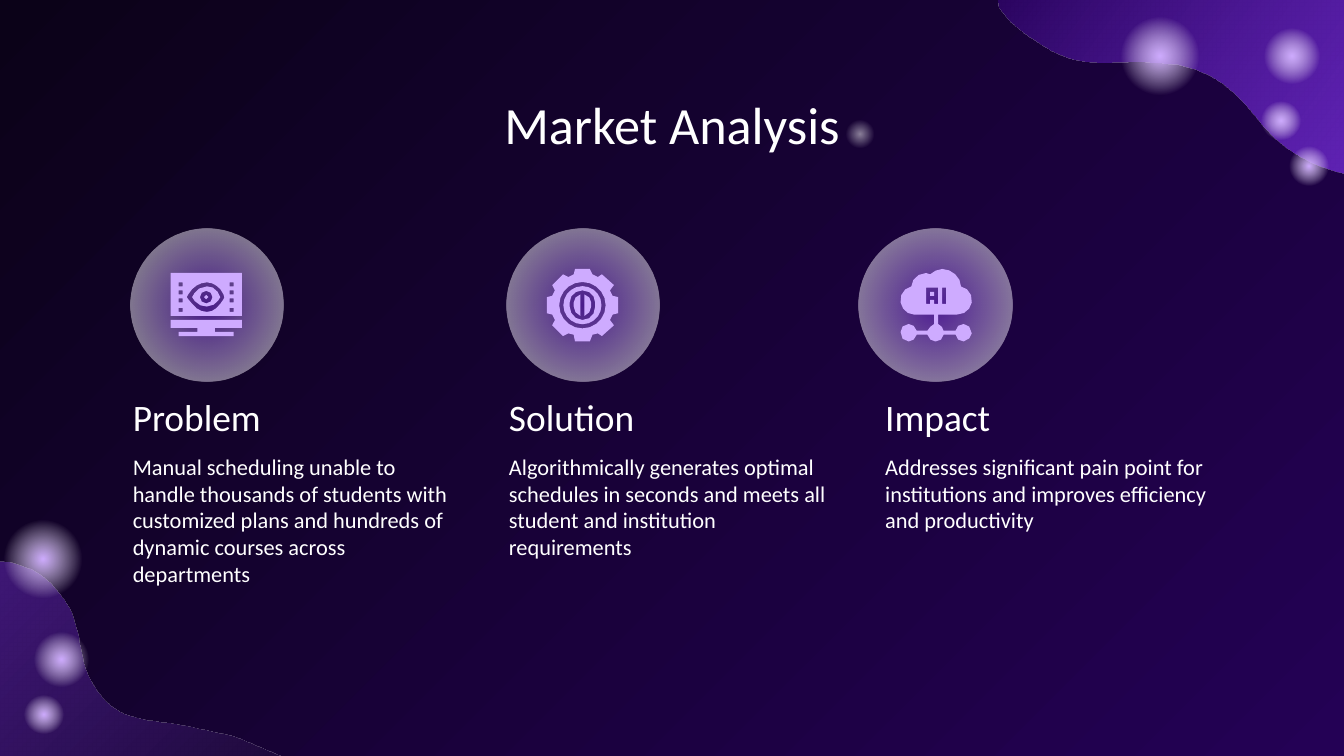
from math import dist

from pptx import Presentation
from pptx.dml.color import RGBColor
from pptx.enum.shapes import MSO_SHAPE
from pptx.enum.text import MSO_ANCHOR, MSO_AUTO_SIZE, PP_ALIGN
from pptx.oxml import parse_xml
from pptx.oxml.ns import nsdecls, qn
from pptx.util import Cm, Pt

COLORS = {"night": "0B0218", "indigo": "240155", "violet": "8134EC",
          "lilac": "CEABFF", "white": "FFFFFF"}
FONT = "Calibri"
GLOW = [(0, "lilac", 100), (57, "white", 0), (100, "white", 0)]
FAINT_GLOW = [(0, "white", 50), (57, "white", 0), (100, "white", 0)]
DISC = [(0, "violet", 49), (77, "white", 49), (100, "white", 49)]
ICON_UNITS = 54

LEFT_WAVE = """M 10 0 L 0 382 L 666 382 C 667 374 663 364 660 356
 C 635 301 575 264 513 256 C 498 253 482 253 467 247 C 454 242 443 226 439 214
 C 434 200 434 185 428 171 C 422 159 412 147 399 140 C 374 126 337 136 316 152
 L 233 84"""
RIGHT_WAVE = """M 276 0 L 193 13 L 106 21 L 45 32 C 34 34 4 34 0 47
 C -5 62 31 83 41 89 C 60 99 77 98 97 97 C 119 97 139 97 158 107
 C 175 116 187 131 198 145 C 211 160 227 170 245 176 C 261 181 283 187 300 185
 L 295 151 L 294 116 L 288 81 L 278 15"""
EYE_RIM = """M 40 21 C 40 21 39 24 37 26 C 34 30 31 32 27 32 C 23 32 19 30 16 26
 C 14 24 12 21 12 21 C 12 21 14 17 16 15 C 19 12 23 10 27 10 C 31 10 34 12 37 15
 C 39 17 40 21 40 21"""
EYE = """M 16 21 C 17 19 20 13 27 13 C 31 13 32 14 35 17 C 36 18 37 20 37 21
 C 36 23 33 28 27 28 C 23 28 21 27 18 24 C 17 23 16 22 16 21"""
STAND = """M 0 38 L 0 44 L 20 44 L 20 47 L 6 47 L 6 50 L 47 50 L 47 47 L 33 47
 L 33 44 L 53 44 L 53 38"""
GEAR = """M 53 33 L 53 21 L 49 20 L 47 16 L 50 12 L 41 4 L 38 6 L 34 4 L 32 0
 L 21 0 L 20 4 L 16 6 L 12 4 L 4 12 L 6 16 L 4 20 L 0 21 L 0 33 L 4 34 L 6 38
 L 4 42 L 12 50 L 16 48 L 20 49 L 21 54 L 32 54 L 34 49 L 38 48 L 41 50 L 50 42
 L 47 38 L 49 34"""
BRAIN = """M 36 28 C 36 34 32 38 26.5 38 C 21 38 17 33 17 28 L 17 25
 C 17 20 21 16 26.5 16 C 32 16 36 20 36 25"""
RIGHT_LOBE = "M 28 19 L 28 35 C 31 34 33 31 33 28 L 33 25 C 33 22 31 20 28 19"
LEFT_LOBE = "M 25 19 C 22 20 20 22 20 25 L 20 28 C 20 31 22 34 25 35"
CLOUD = """M 48 41 C 45 41 42 43 42 46 L 33 46 C 33 44 31 42 29 41 L 29 34 L 43 34
 C 49 34 53 30 54 25 C 55 19 51 14 46 13 C 46 6 39 0 32 0 C 29 0 25 2 23 4
 C 22 3 21 3 20 3 C 14 3 9 8 9 13 C 4 14 0 19 1 25 C 2 30 6 34 11 34 L 26 34
 L 26 41 C 24 42 22 44 21 46 L 13 46 C 12 43 10 41 7 41 C 3 41 1 44 1 47
 C 1 51 3 54 7 54 C 10 54 12 52 13 49 L 21 49 C 22 52 24 54 27 54
 C 30 54 33 52 33 49 L 42 49 C 42 52 45 54 48 54 C 51 53 54 51 54 48
 C 54 44 51 41 48 41"""
LETTER_A = "M 23 23 L 23 26 L 20 26 L 20 14 L 29 14 L 29 26 L 26 26 L 26 23"


def rect(x, y, w, h):
    return f"M {x} {y} L {x + w} {y} L {x + w} {y + h} L {x} {y + h}"


def disc(cx, cy, r):
    k = 0.55 * r
    return (f"M {cx + r} {cy} C {cx + r} {cy + k} {cx + k} {cy + r} {cx} {cy + r}"
            f" C {cx - k} {cy + r} {cx - r} {cy + k} {cx - r} {cy}"
            f" C {cx - r} {cy - k} {cx - k} {cy - r} {cx} {cy - r}"
            f" C {cx + k} {cy - r} {cx + r} {cy - k} {cx + r} {cy}")


SCREEN = [rect(0, 3, 53, 32), EYE_RIM, EYE, disc(26.5, 21, 4.7), disc(26.5, 21, 1.6), STAND]
SCREEN += [rect(x, y, 3, 3) for x in (6, 44) for y in (10, 16, 22, 29)]
COG = [GEAR, disc(26.5, 27, 17.3), disc(26.5, 27, 14.2), BRAIN, RIGHT_LOBE, LEFT_LOBE]
AI_CLOUD = [CLOUD, LETTER_A, rect(23, 17, 3, 3), rect(32, 14, 3, 12)]


def trace(outline):
    pts = []
    for part in outline.replace("L", "|").replace("C", "|").replace("M", "").split("|"):
        n = [float(v) for v in part.split()]
        if len(n) == 2:
            pts.append(tuple(n))
            continue
        ctrl = [pts[-1], *zip(n[::2], n[1::2])]
        steps = min(5, 1 + int(dist(ctrl[0], ctrl[-1]) / 5))
        for i in range(1, steps + 1):
            t = i / steps
            weights = ((1 - t) ** 3, 3 * t * (1 - t) ** 2, 3 * t * t * (1 - t), t ** 3)
            pts.append(tuple(sum(w * c[a] for w, c in zip(weights, ctrl)) for a in (0, 1)))
    return pts


def add_outline(s, x, y, unit, outlines):
    contours = [[(Cm(x + u * unit), Cm(y + v * unit)) for u, v in trace(o)] for o in outlines]
    fb = s.shapes.build_freeform(*contours[0][0])
    for i, pts in enumerate(contours):
        if i:
            fb.move_to(*pts[0])
        fb.add_line_segments(pts[1:], close=True)
    sp = fb.convert_to_shape()
    sp.shadow.inherit = False
    sp.line.fill.background()
    return sp


def fill_gradient(sp, stops, angle=None):
    gs = "".join(f'<a:gs pos="{pos * 1000}"><a:srgbClr val="{COLORS[c]}">'
                 f'<a:alpha val="{alpha * 1000}"/></a:srgbClr></a:gs>' for pos, c, alpha in stops)
    if angle is None:
        kind = ('<a:path path="circle"><a:fillToRect l="50000" t="50000" '
                'r="50000" b="50000"/></a:path>')
    else:
        kind = f'<a:lin ang="{angle * 60000}" scaled="0"/>'
    sp.fill.gradient()
    grad = sp.element.spPr.find(qn("a:gradFill"))
    new = parse_xml(f'<a:gradFill {nsdecls("a")} rotWithShape="1"><a:gsLst>{gs}</a:gsLst>'
                    f'{kind}</a:gradFill>')
    sp.element.spPr.replace(grad, new)


def add_orb(s, cx, cy, d, stops):
    sp = s.shapes.add_shape(MSO_SHAPE.OVAL, Cm(cx - d / 2), Cm(cy - d / 2), Cm(d), Cm(d))
    sp.shadow.inherit = False
    sp.line.fill.background()
    fill_gradient(sp, stops)


def write(tf, text, size, anchor=MSO_ANCHOR.TOP, align=PP_ALIGN.LEFT):
    tf.word_wrap = True
    tf.auto_size = MSO_AUTO_SIZE.NONE
    tf.vertical_anchor = anchor
    tf.margin_left = tf.margin_right = tf.margin_top = tf.margin_bottom = Cm(0.25)
    p = tf.paragraphs[0]
    p.alignment = align
    r = p.add_run()
    r.text = text
    r.font.size = Pt(size)
    r.font.name = FONT
    r.font.color.rgb = RGBColor.from_string(COLORS["white"])


def add_background(s):
    fill = s.background.fill
    fill.gradient()
    fill.gradient_angle = 315
    for stop, name in zip(fill.gradient_stops, ("night", "indigo")):
        stop.color.rgb = RGBColor.from_string(COLORS[name])


def add_corner(s, x, y, w, units, wave, stops, angle, orbs):
    unit = w / units
    fill_gradient(add_outline(s, x, y, unit, [wave]), stops, angle)
    for cx, cy, d in orbs:
        add_orb(s, x + cx * unit, y + cy * unit, d * unit, GLOW)


def add_title(s, x, y, w, h, text):
    sp = s.shapes.title
    sp.left, sp.top, sp.width, sp.height = Cm(x), Cm(y), Cm(w), Cm(h)
    write(sp.text_frame, text, 28, align=PP_ALIGN.CENTER)
    add_orb(s, x + w / 2 + 3.55, y + 1.04, 0.66, FAINT_GLOW)


def add_column(s, x, y, w, heading, body, icon, shift):
    d, icon_w = 2.9, 1.37
    cx, cy = x + shift + d / 2, y + d / 2
    add_orb(s, cx, cy, d, DISC)
    sp = add_outline(s, cx - icon_w / 2, cy - icon_w / 2, icon_w / ICON_UNITS, icon)
    sp.fill.solid()
    sp.fill.fore_color.rgb = RGBColor.from_string(COLORS["lilac"])
    for text, size, dy, h, anchor in ((heading, 20, 3.1, 1.12, MSO_ANCHOR.BOTTOM),
                                      (body, 12, 3.99, 4.04, MSO_ANCHOR.TOP)):
        tb = s.shapes.add_textbox(Cm(x), Cm(y + dy), Cm(w), Cm(h))
        write(tb.text_frame, text, size, anchor)


def main():
    prs = Presentation()
    prs.slide_width, prs.slide_height = Cm(25.4), Cm(14.29)
    s = prs.slides.add_slide(prs.slide_layouts[5])
    add_background(s)
    add_corner(s, -9.53, 7.21, 16.94, 667, LEFT_WAVE,
               [(0, "night", 100), (100, "violet", 70)], 225,
               [(421, 207, 51), (407, 132, 72), (408, 248, 36)])
    add_corner(s, 18.85, -1.3, 7.62, 300, RIGHT_WAVE,
               [(0, "violet", 70), (100, "indigo", 100)], 216,
               [(121, 93, 72), (232, 175, 36), (211, 141, 36), (219, 93, 51)])
    add_title(s, 2, 1.5, 21.4, 1.6, "Market Analysis")
    columns = [
        ("Problem", "Manual scheduling unable to handle thousands of students with customized "
         "plans and hundreds of dynamic courses across departments", SCREEN, 0.2),
        ("Solution", "Algorithmically generates optimal schedules in seconds and meets all "
         "student and institution requirements", COG, 0.2),
        ("Impact", "Addresses significant pain point for institutions and improves efficiency "
         "and productivity", AI_CLOUD, -0.25),
    ]
    for i, column in enumerate(columns):
        add_column(s, 2.26 + 7.11 * i, 4.32, 6.65, *column)
    prs.save("out.pptx")


if __name__ == "__main__":
    main()
